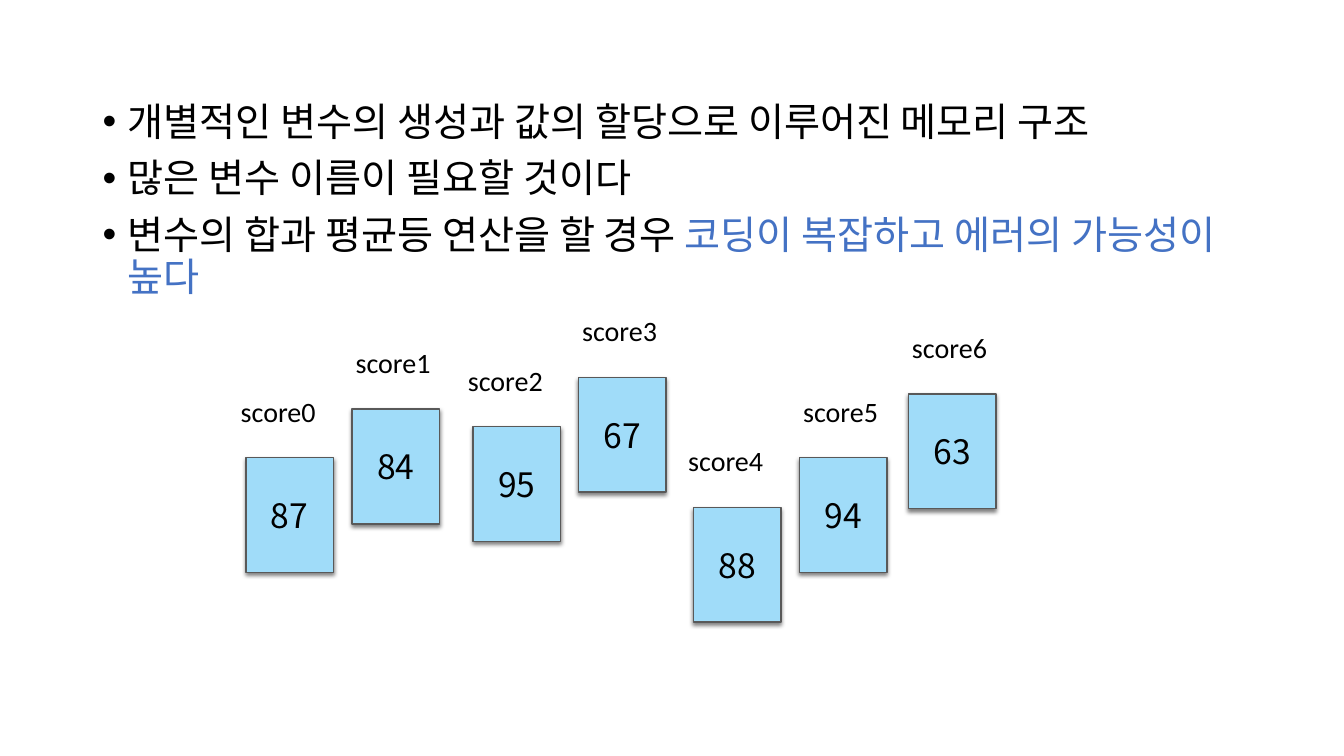
from lxml import etree
from pptx import Presentation
from pptx.dml.color import RGBColor
from pptx.enum.shapes import MSO_SHAPE
from pptx.enum.text import MSO_ANCHOR, PP_ALIGN
from pptx.oxml.ns import qn
from pptx.util import Inches, Pt

RECT = MSO_SHAPE.RECTANGLE
MIDDLE = MSO_ANCHOR.MIDDLE
CENTER = PP_ALIGN.CENTER

BLACK, BLUE, SKY, GRAY = "000000", "4472C4", "A0DCF9", "595959"
KOREAN, LATIN = "Noto Sans CJK KR", "Calibri"

POINTS = [
    [("개별적인 변수의 생성과 값의 할당으로 이루어진 메모리 구조", BLACK)],
    [("많은 변수 이름이 필요할 것이다", BLACK)],
    [("변수의 합과 평균등 연산을 할 경우 ", BLACK),
     ("코딩이 복잡하고 에러의 가능성이 높다", BLUE)],
]
NEAR, FAR = 0.2, 0.85
SCORES = [
    ("score0", "87", 18.3, 60.5, FAR),
    ("score1", "84", 26.2, 54.1, NEAR),
    ("score2", "95", 35.2, 56.4, FAR),
    ("score3", "67", 43.05, 49.9, NEAR),
    ("score4", "88", 51.6, 67.1, FAR),
    ("score5", "94", 59.5, 60.5, NEAR),
    ("score6", "63", 67.6, 52.1, NEAR),
]
BODY = (6.9, 12.9, 86.3, 63.5)
BOX_W, BOX_H = 6.5, 15.2
TAG_W, TAG_H = 9.15, 9.3
LIFT = 6.15

deck = Presentation()
deck.slide_width, deck.slide_height = Inches(13.33), Inches(7.5)
slide = deck.slides.add_slide(deck.slide_layouts[6])


def color(text):
    return RGBColor.from_string(text)


def place(left, top, width, height):
    wide, high = deck.slide_width / 100, deck.slide_height / 100
    return [round(n) for n in (left * wide, top * high, width * wide, height * high)]


def add_run(para, text, size, face, hue=BLACK):
    run = para.add_run()
    run.text = text
    run.font.size = Pt(size)
    run.font.name = face
    run.font.color.rgb = color(hue)
    east = etree.SubElement(run._r.get_or_add_rPr(), qn("a:ea"))
    east.set("typeface", face)


def center(shape, text, size, face, wrap):
    frame = shape.text_frame
    frame.word_wrap = wrap
    frame.vertical_anchor = MIDDLE
    frame.margin_left = frame.margin_right = Inches(0.06)
    frame.margin_top = frame.margin_bottom = Inches(0.06)
    para = frame.paragraphs[0]
    para.alignment = CENTER
    add_run(para, text, size, face)


def add_shade(shape):
    shape.shadow.inherit = False
    effects = shape._element.spPr.find(qn("a:effectLst"))
    shade = etree.SubElement(effects, qn("a:outerShdw"), blurRad=str(Pt(3)),
                             dist=str(Pt(2)), dir="5400000", rotWithShape="0")
    tint = etree.SubElement(shade, qn("a:srgbClr"), val=BLACK)
    etree.SubElement(tint, qn("a:alpha"), val="50000")


def add_points():
    frame = slide.shapes.add_textbox(*place(*BODY)).text_frame
    frame.word_wrap = True
    for i, parts in enumerate(POINTS):
        para = frame.add_paragraph() if i else frame.paragraphs[0]
        para.line_spacing = 0.9
        para.space_before = Pt(10)
        props = para._p.get_or_add_pPr()
        props.set("marL", str(Inches(0.25)))
        props.set("indent", str(-Inches(0.25)))
        etree.SubElement(props, qn("a:buFont"), typeface="Arial")
        etree.SubElement(props, qn("a:buChar"), char="•")
        for text, hue in parts:
            add_run(para, text, 28, KOREAN, hue)


def add_score(name, value, left, top, lean):
    box = slide.shapes.add_shape(RECT, *place(left, top, BOX_W, BOX_H))
    box.fill.solid()
    box.fill.fore_color.rgb = color(SKY)
    box.line.color.rgb = color(GRAY)
    box.line.width = Pt(1)
    add_shade(box)
    center(box, value, 24, KOREAN, True)
    tag_x = left + (BOX_W - TAG_W) / 2 - lean
    tag_y = top - LIFT - TAG_H / 2
    tag = slide.shapes.add_textbox(*place(tag_x, tag_y, TAG_W, TAG_H))
    center(tag, name, 20, LATIN, False)


add_points()
for score in SCORES:
    add_score(*score)
deck.save("out.pptx")
